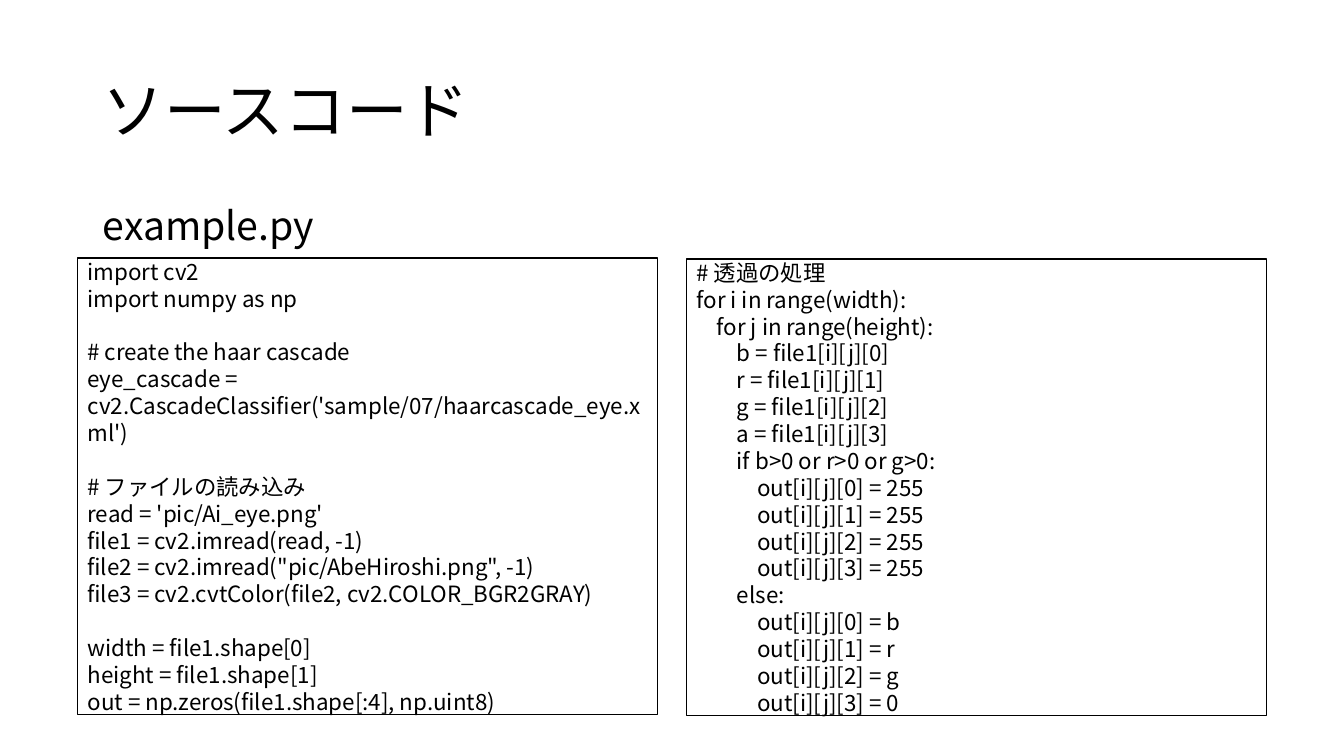
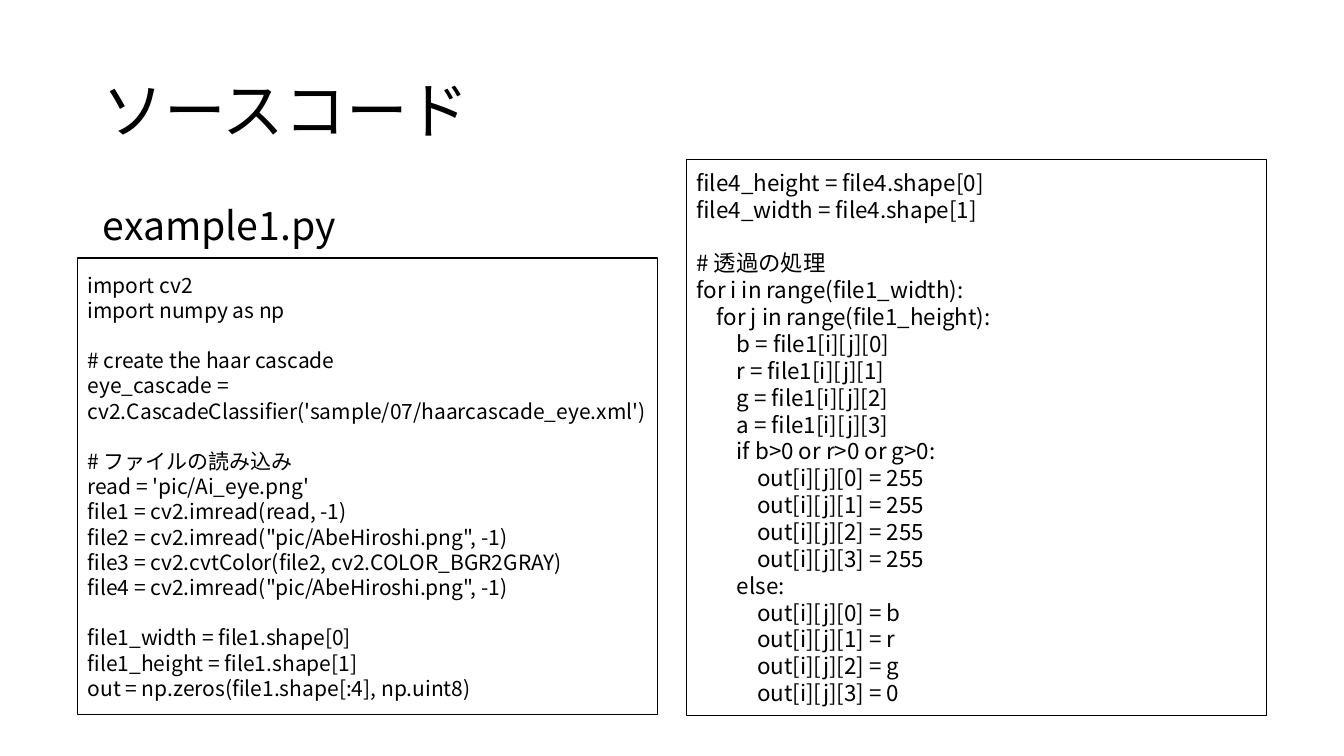
from lxml import etree
from pptx import Presentation
from pptx.dml.color import RGBColor
from pptx.enum.shapes import MSO_SHAPE
from pptx.enum.text import MSO_ANCHOR, PP_ALIGN
from pptx.oxml.ns import qn
from pptx.util import Inches, Pt

RECTANGLE = MSO_SHAPE.RECTANGLE
TOP, MIDDLE = MSO_ANCHOR.TOP, MSO_ANCHOR.MIDDLE
LEFT = PP_ALIGN.LEFT

FONT = "Noto Sans CJK JP"
BLACK, WHITE = "000000", "FFFFFF"
LINE_PITCH = 1.2  # line height as a multiple of the text size
INDENT = 0.2      # inches per code level

# Content: code is a list of blocks, a block is a list of (level, line)
TITLE = "ソースコード"

SETUP = [
    [(0, "import cv2"), (0, "import numpy as np")],
    [(0, "# create the haar cascade"),
     (0, "eye_cascade = cv2.CascadeClassifier('sample/07/haarcascade_eye.xml')")],
]
READ_FILES = [
    (0, "# ファイルの読み込み"),
    (0, "read = 'pic/Ai_eye.png'"),
    (0, "file1 = cv2.imread(read, -1)"),
    (0, 'file2 = cv2.imread("pic/AbeHiroshi.png", -1)'),
    (0, "file3 = cv2.cvtColor(file2, cv2.COLOR_BGR2GRAY)"),
]
READ_FILE4 = [(0, 'file4 = cv2.imread("pic/AbeHiroshi.png", -1)')]
FILE4_SIZE = [(0, "file4_height = file4.shape[0]"),
              (0, "file4_width = file4.shape[1]")]


def output_block(width, height):
    return [(0, f"{width} = file1.shape[0]"),
            (0, f"{height} = file1.shape[1]"),
            (0, "out = np.zeros(file1.shape[:4], np.uint8)")]


def transparency_block(width, height):
    def assign(values):
        return [(3, f"out[i][j][{n}] = {value}") for n, value in enumerate(values)]

    return [(0, "# 透過の処理"),
            (0, f"for i in range({width}):"),
            (1, f"for j in range({height}):"),
            *[(2, f"{channel} = file1[i][j][{n}]") for n, channel in enumerate("brga")],
            (2, "if b>0 or r>0 or g>0:"),
            *assign([255] * 4),
            (2, "else:"),
            *assign("brg0")]


# Each panel: top, height, text size, code
SLIDES = [
    ("example.py",
     (2.56, 4.53, 16, SETUP + [READ_FILES, output_block("width", "height")]),
     (2.57, 4.53, 16, [transparency_block("width", "height")])),
    ("example1.py",
     (2.56, 4.53, 15, SETUP + [READ_FILES + READ_FILE4,
                               output_block("file1_width", "file1_height")]),
     (1.58, 5.52, 16, [FILE4_SIZE,
                       transparency_block("file1_width", "file1_height")])),
]
PANEL_LEFTS, PANEL_WIDTH = (0.77, 6.81), 5.75


def color(hex_value):
    return RGBColor.from_string(hex_value)


def style(paragraph, size):
    paragraph.alignment = LEFT
    font = paragraph.font
    font.size, font.name = Pt(size), FONT
    font.color.rgb = color(BLACK)
    # East Asian text takes the same font
    defaults = paragraph._p.get_or_add_pPr().find(qn("a:defRPr"))
    etree.SubElement(defaults, qn("a:ea")).set("typeface", FONT)


def add_label(slide, text, top, height, size, anchor, space_before=0):
    box = slide.shapes.add_textbox(Inches(0.92), Inches(top), Inches(11.5), Inches(height))
    frame = box.text_frame
    frame.word_wrap = True
    frame.vertical_anchor = anchor
    paragraph = frame.paragraphs[0]
    paragraph.text = text
    paragraph.line_spacing = 0.9
    paragraph.space_before = Pt(space_before)
    style(paragraph, size)


def add_code_panel(slide, left, top, height, size, blocks):
    panel = slide.shapes.add_shape(RECTANGLE, Inches(left), Inches(top),
                                   Inches(PANEL_WIDTH), Inches(height))
    panel.shadow.inherit = False
    panel.fill.solid()
    panel.fill.fore_color.rgb = color(WHITE)
    panel.line.color.rgb = color(BLACK)
    panel.line.width = Pt(1)
    frame = panel.text_frame
    frame.word_wrap = True
    frame.vertical_anchor = MIDDLE
    pitch = Pt(size * LINE_PITCH)
    paragraph = frame.paragraphs[0]
    for block_number, block in enumerate(blocks):
        for line_number, (level, line) in enumerate(block):
            if block_number or line_number:
                paragraph = frame.add_paragraph()
            paragraph.text = line
            paragraph.line_spacing = pitch
            # One line of space sets each later block apart
            if block_number and not line_number:
                paragraph.space_before = pitch
            style(paragraph, size)
            properties = paragraph._p.get_or_add_pPr()
            properties.set("marL", str(Inches(INDENT * level)))
            properties.set("indent", "0")


def main():
    deck = Presentation()
    deck.slide_width, deck.slide_height = Inches(13.33), Inches(7.5)
    blank = deck.slide_layouts[6]
    for file_name, *panels in SLIDES:
        slide = deck.slides.add_slide(blank)
        add_label(slide, TITLE, 0.4, 1.45, 44, MIDDLE)
        add_label(slide, file_name, 2, 0.55, 28, TOP, space_before=10)
        for left, panel in zip(PANEL_LEFTS, panels):
            add_code_panel(slide, left, *panel)
    deck.save("out.pptx")


if __name__ == "__main__":
    main()
